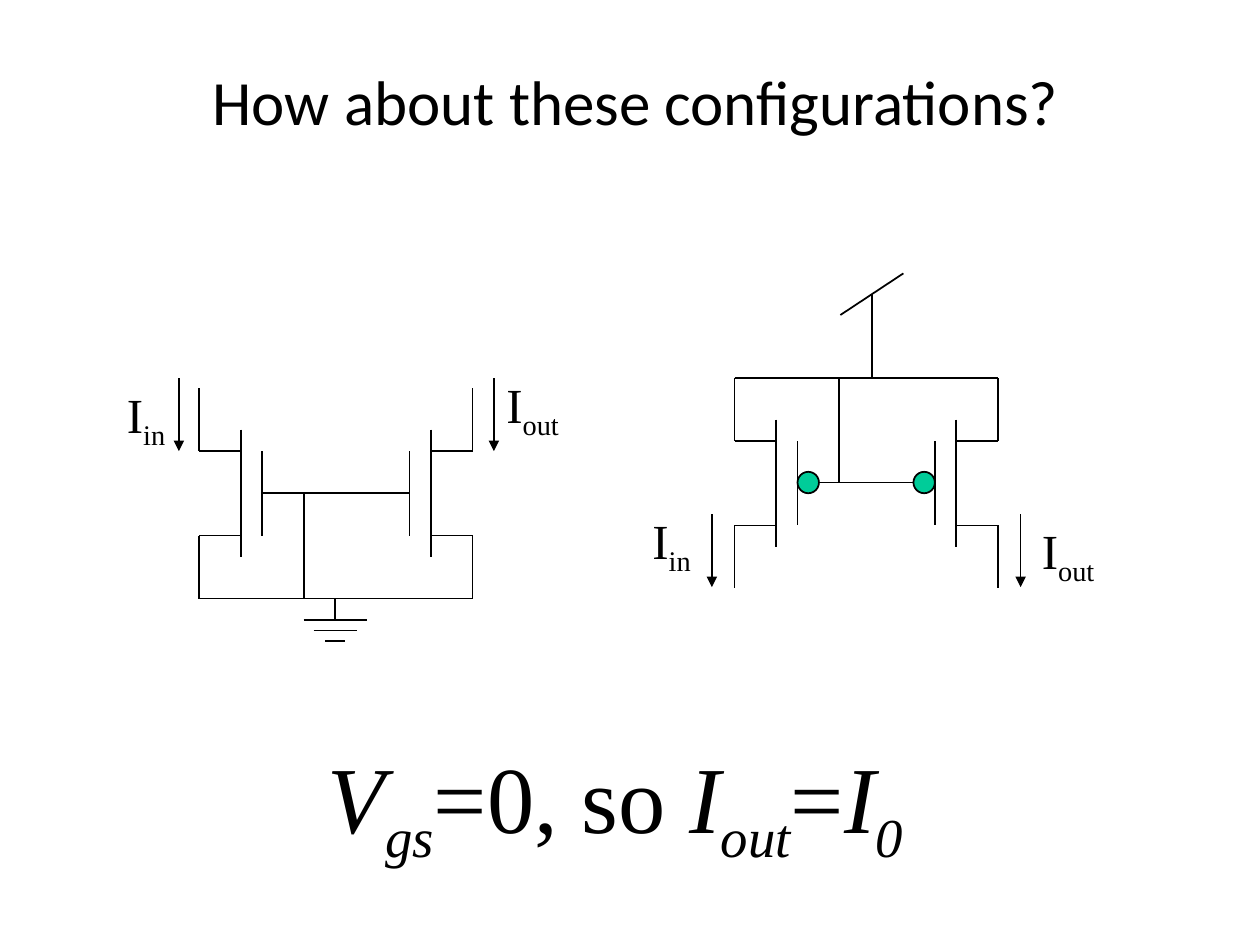
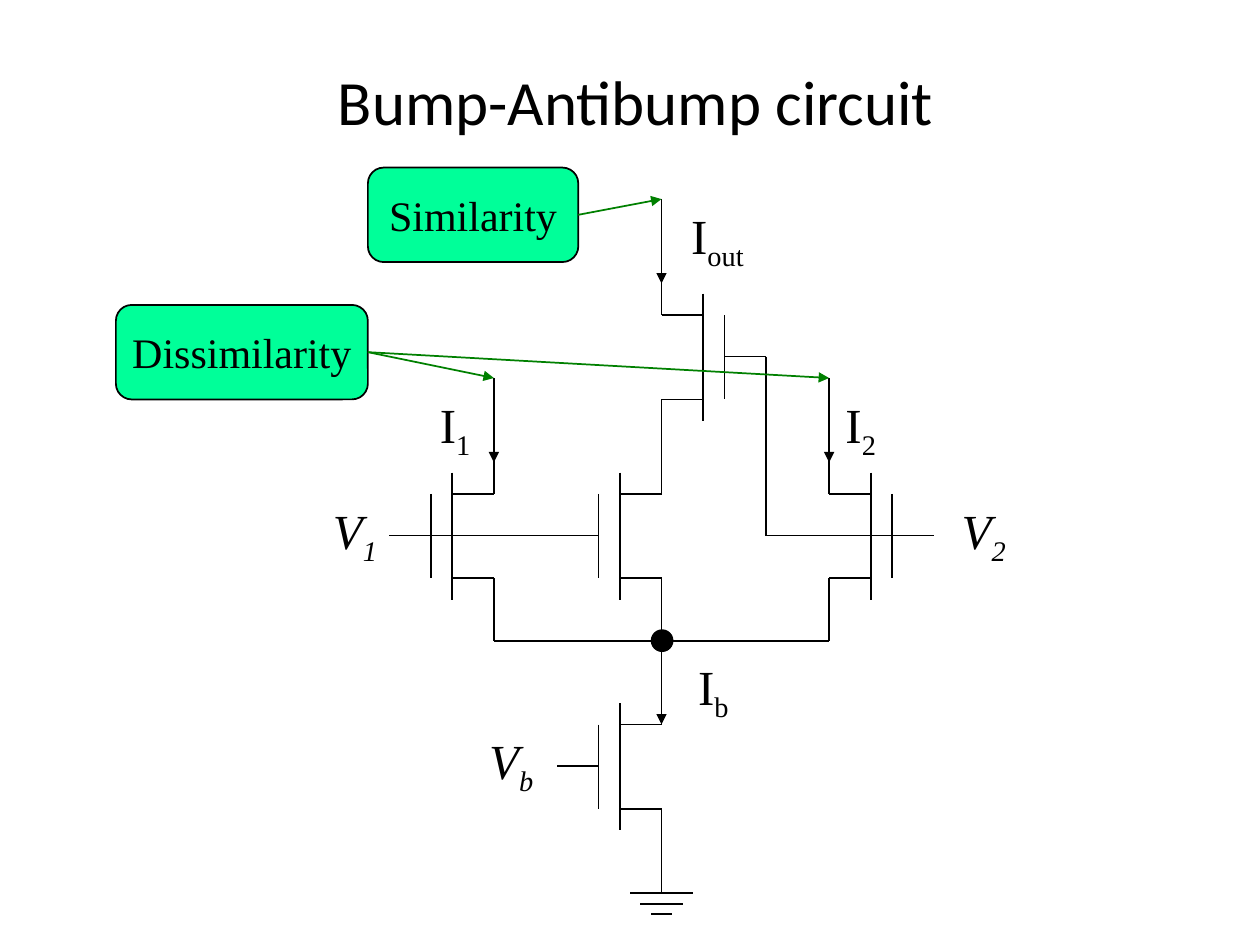
"""Two slides on current mirrors and the bump-antibump circuit."""
import pptx
import pptx.dml.color
import pptx.enum.shapes
import pptx.enum.text
import pptx.oxml.ns
import pptx.util
from lxml import etree

Inches = pptx.util.Inches
Pt = pptx.util.Pt
ALIGN = pptx.enum.text.PP_ALIGN
SHAPE = pptx.enum.shapes.MSO_SHAPE
FIT = pptx.enum.text.MSO_AUTO_SIZE
MIDDLE = pptx.enum.text.MSO_ANCHOR.MIDDLE

COLOURS = {"ink": "000000", "bubble": "00CC99", "callout": "00FF99", "pointer": "008000"}
TITLE_FONT = {"name": "Calibri", "size": Pt(36)}
BODY_FONT = "Times New Roman"
THIN = 0.75

# Transistor outline, from its upper terminal, with the gate to the right
CHANNEL, GATE, REACH = 0.33, 0.5, 0.83
UPPER, MID, LOWER, HEIGHT = 0.5, 0.83, 1.17, 1.67
BUBBLE = 0.17
ARROW = 0.58


def colour(key):
    """Return the RGB value of a named colour."""
    return pptx.dml.color.RGBColor.from_string(COLOURS[key])


def format_run(run, values):
    """Set font attributes of a run from a dict."""
    for key, value in values.items():
        setattr(run.font, key, value)
    run.font.color.rgb = colour("ink")


def add_title(slide, text):
    """Place and format the title placeholder."""
    title = slide.shapes.title
    box = {"left": 0.17, "top": 0.17, "width": 9.75, "height": 1.25}
    for key, value in box.items():
        setattr(title, key, Inches(value))
    frame = title.text_frame
    frame.vertical_anchor = MIDDLE
    frame.text = text
    frame.paragraphs[0].alignment = ALIGN.CENTER
    format_run(frame.paragraphs[0].runs[0], TITLE_FONT)


def add_line(slide, start, end, key="ink", width=1, arrow=False):
    """Draw one straight line, with an arrowhead at its end if asked."""
    line = slide.shapes.add_connector(
        pptx.enum.shapes.MSO_CONNECTOR.STRAIGHT, *map(Inches, (*start, *end)))
    line.line.color.rgb = colour(key)
    line.line.width = Pt(width)
    if arrow:
        etree.SubElement(line.line._get_or_add_ln(),
                         pptx.oxml.ns.qn("a:tailEnd"), type="triangle")
    etree.SubElement(line._element.spPr, pptx.oxml.ns.qn("a:effectLst"))


def add_wire(slide, *points):
    """Join points with straight lines."""
    for start, end in zip(points, points[1:]):
        add_line(slide, start, end)


def add_current(slide, x, top):
    """Draw a downward current arrow."""
    add_line(slide, (x, top), (x, top + ARROW), width=THIN, arrow=True)


def add_filled(slide, kind, box, fill, width=1):
    """Add a filled shape with a dark outline."""
    shape = slide.shapes.add_shape(kind, *map(Inches, box))
    shape.shadow.inherit = False
    shape.fill.solid()
    shape.fill.fore_color.rgb = colour(fill)
    shape.line.color.rgb = colour("ink")
    shape.line.width = Pt(width)
    return shape


def add_formula(slide, box, parts, size=28, align=ALIGN.LEFT, wrap=True):
    """Write (text, italic, subscript) parts on one line."""
    area = slide.shapes.add_textbox(*map(Inches, box))
    frame = area.text_frame
    frame.word_wrap = wrap
    frame.auto_size = FIT.SHAPE_TO_FIT_TEXT
    frame.paragraphs[0].alignment = align
    for text, italic, subscript in parts:
        run = frame.paragraphs[0].add_run()
        run.text = text
        format_run(run, {"name": BODY_FONT, "size": Pt(size), "italic": italic})
        if subscript:
            run._r.get_or_add_rPr().set("baseline", "-25000")


def add_symbol(slide, left, top, width, letter, index, align=ALIGN.RIGHT):
    """Write a letter with an index; voltages are italic."""
    italic = letter == "V"
    add_formula(slide, (left, top, width, 0.57),
                [(letter, italic, False), (index, italic, True)], align=align)


def add_transistor(slide, x, top, side, p_type=False):
    """Draw a transistor; side is 1 for a gate to the right, -1 to the left."""
    def at(across, down):
        return x + side * across, top + down

    add_wire(slide, at(0, 0), at(0, UPPER), at(CHANNEL, UPPER))
    add_wire(slide, at(CHANNEL, 0.33), at(CHANNEL, 1.34))
    add_wire(slide, at(CHANNEL, LOWER), at(0, LOWER), at(0, HEIGHT))
    add_wire(slide, at(GATE, UPPER), at(GATE, LOWER))
    lead = GATE + BUBBLE if p_type else GATE
    add_wire(slide, at(lead, MID), at(REACH, MID))
    if p_type:
        centre, middle = at(GATE + BUBBLE / 2, MID)
        add_filled(slide, SHAPE.OVAL,
                   (centre - BUBBLE / 2, middle - BUBBLE / 2, BUBBLE, BUBBLE), "bubble")


def add_ground(slide, x, top):
    """Draw a ground symbol hanging from a point."""
    add_wire(slide, (x, top), (x, top + 0.17))
    for row, half in enumerate((0.25, 0.17, 0.08)):
        y = top + 0.17 + row / 12
        add_wire(slide, (x - half, y), (x + half, y))


def add_n_mirror(slide, left, top):
    """Draw the n-type mirror, its ground and its currents."""
    right, bottom, gate = left + 2.17, top + HEIGHT, top + MID
    add_transistor(slide, left, top, 1)
    add_transistor(slide, right, top, -1)
    add_wire(slide, (left + REACH, gate), (right - REACH, gate))
    add_wire(slide, (left + REACH, gate), (left + REACH, bottom))
    add_wire(slide, (left, bottom), (right, bottom))
    add_ground(slide, left + 1.08, bottom)
    add_current(slide, left - 0.16, top - 0.08)
    add_current(slide, right + 0.17, top - 0.08)
    add_symbol(slide, left - 0.75, top - 0.08, 0.58, "I", "in")
    add_symbol(slide, right + 0.17, top - 0.16, 0.75, "I", "out", ALIGN.LEFT)


def add_p_mirror(slide, left, top):
    """Draw the p-type mirror, its supply and its currents."""
    right, gate, supply = left + 2.09, top + MID, left + 1.09
    add_transistor(slide, left, top, 1, p_type=True)
    add_transistor(slide, right, top, -1, p_type=True)
    add_wire(slide, (left + REACH, gate), (right - REACH, gate))
    add_wire(slide, (left + REACH, top), (left + REACH, gate))
    add_wire(slide, (left, top), (right, top))
    add_wire(slide, (supply, top), (supply, top - 0.67))
    add_wire(slide, (supply - 0.25, top - 0.5), (supply + 0.25, top - 0.83))
    add_current(slide, left - 0.18, top + 1.08)
    add_current(slide, right + 0.18, top + 1.08)
    add_symbol(slide, left - 0.75, top + 1, 0.67, "I", "in", ALIGN.LEFT)
    add_symbol(slide, right + 0.25, top + 1.08, 0.75, "I", "out", ALIGN.LEFT)


def add_bump_circuit(slide, left, top):
    """Draw the bump circuit from its left branch and its output terminal."""
    centre, right = left + 1.33, left + 2.66
    pair = top + 1.84
    gate, node = pair + MID, pair + HEIGHT
    tail = node + 0.16
    add_transistor(slide, centre, tail, -1)
    add_transistor(slide, right, pair, 1)
    add_transistor(slide, left, pair, -1)
    add_transistor(slide, centre, pair, -1)
    add_transistor(slide, centre, top + 0.42, 1)

    add_wire(slide, (left, node), (right, node))
    add_wire(slide, (centre, node), (centre, tail))
    add_wire(slide, (centre + REACH, top + 0.42 + MID),
             (centre + REACH, gate), (right + GATE, gate))
    add_wire(slide, (centre - REACH, gate), (left - GATE, gate))
    add_ground(slide, centre, tail + HEIGHT)
    for x, y in ((left, pair - 0.42), (right, pair - 0.42), (centre, top)):
        add_wire(slide, (x, y), (x, y + 0.67))
        add_current(slide, x, y + 0.09)
    add_line(slide, (centre, tail - 0.09), (centre, tail + 0.5), arrow=True)
    add_filled(slide, SHAPE.OVAL, (centre - 0.08, node - 0.09, 0.17, 0.17), "ink", THIN)

    for across, down, width, letter, index in (
            (1.48, 3.58, 0.48, "I", "b"), (-0.17, 4.17, 0.58, "V", "b"),
            (-0.57, 1.5, 0.48, "I", "1"), (2.65, 1.5, 0.48, "I", "2"),
            (1.16, 0, 0.92, "I", "out"), (-1.5, 2.34, 0.67, "V", "1"),
            (3.48, 2.34, 0.68, "V", "2")):
        add_symbol(slide, left + across, top + down, width, letter, index)


def add_callout(slide, left, top, width, text, targets):
    """Add a rounded label with pointers to its targets."""
    height = 0.75
    label = add_filled(slide, SHAPE.ROUNDED_RECTANGLE, (left, top, width, height), "callout")
    label.adjustments[0] = 0.167
    frame = label.text_frame
    frame.word_wrap = False
    frame.vertical_anchor = MIDDLE
    frame.text = text
    frame.paragraphs[0].alignment = ALIGN.CENTER
    format_run(frame.paragraphs[0].runs[0], {"name": BODY_FONT, "size": Pt(24)})
    for target in targets:
        add_line(slide, (left + width, top + height / 2), target, "pointer", arrow=True)


def build_mirrors(slide):
    """Fill the slide that compares two mirrors."""
    add_title(slide, "How about these configurations?")
    add_p_mirror(slide, 5.83, 3)
    add_n_mirror(slide, 1.58, 3.08)
    add_formula(slide, (2.5, 5.82, 4.94, 1), [
        ("V", True, False), ("gs", True, True), ("=0, so ", False, False),
        ("I", True, False), ("out", True, True), ("=", False, False),
        ("I", True, False), ("0", True, True)], size=54, wrap=False)


def build_bump(slide):
    """Fill the slide with the bump-antibump circuit."""
    add_title(slide, "Bump-Antibump circuit")
    add_bump_circuit(slide, 3.92, 1.58)
    add_callout(slide, 0.92, 2.42, 2, "Dissimilarity", [(3.92, 3), (6.58, 3)])
    add_callout(slide, 2.92, 1.33, 1.67, "Similarity", [(5.25, 1.58)])


deck = pptx.Presentation()
deck.slide_width, deck.slide_height = Inches(10), Inches(7.5)
for build in (build_mirrors, build_bump):
    build(deck.slides.add_slide(deck.slide_layouts[5]))
deck.save("out.pptx")
